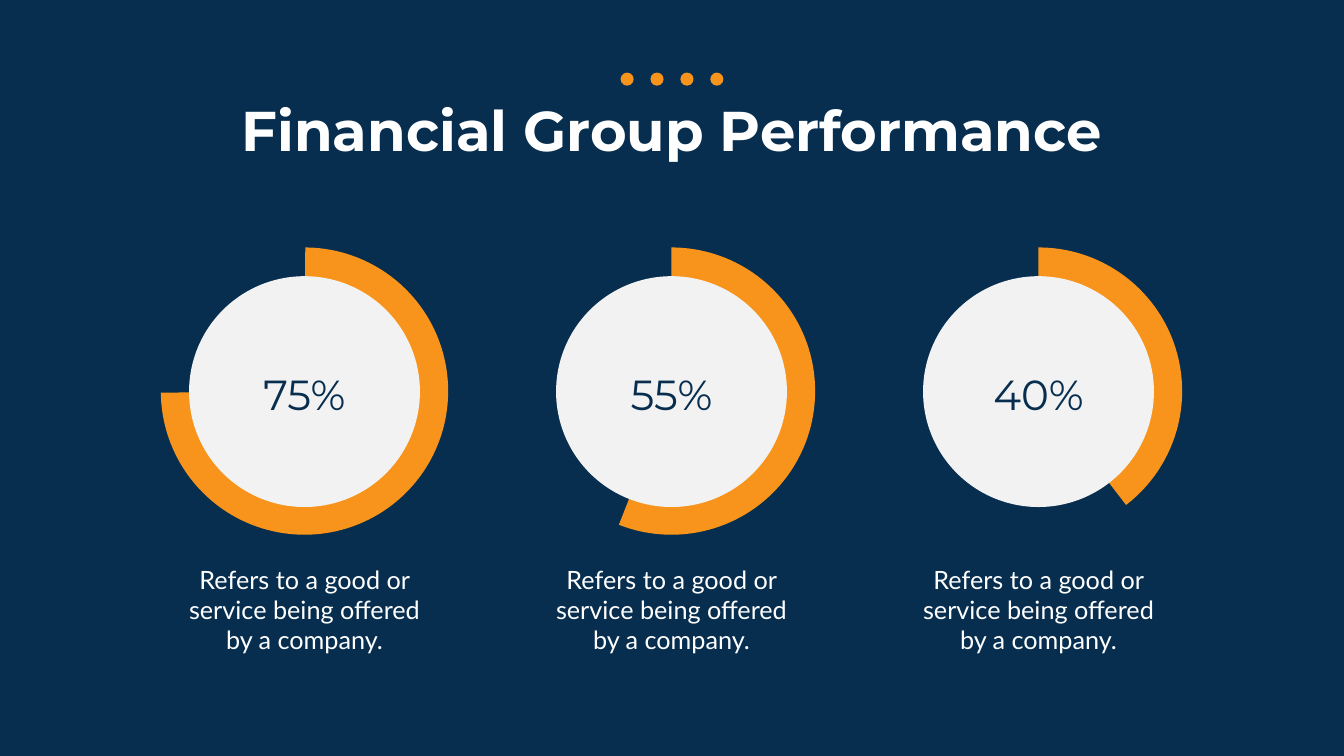
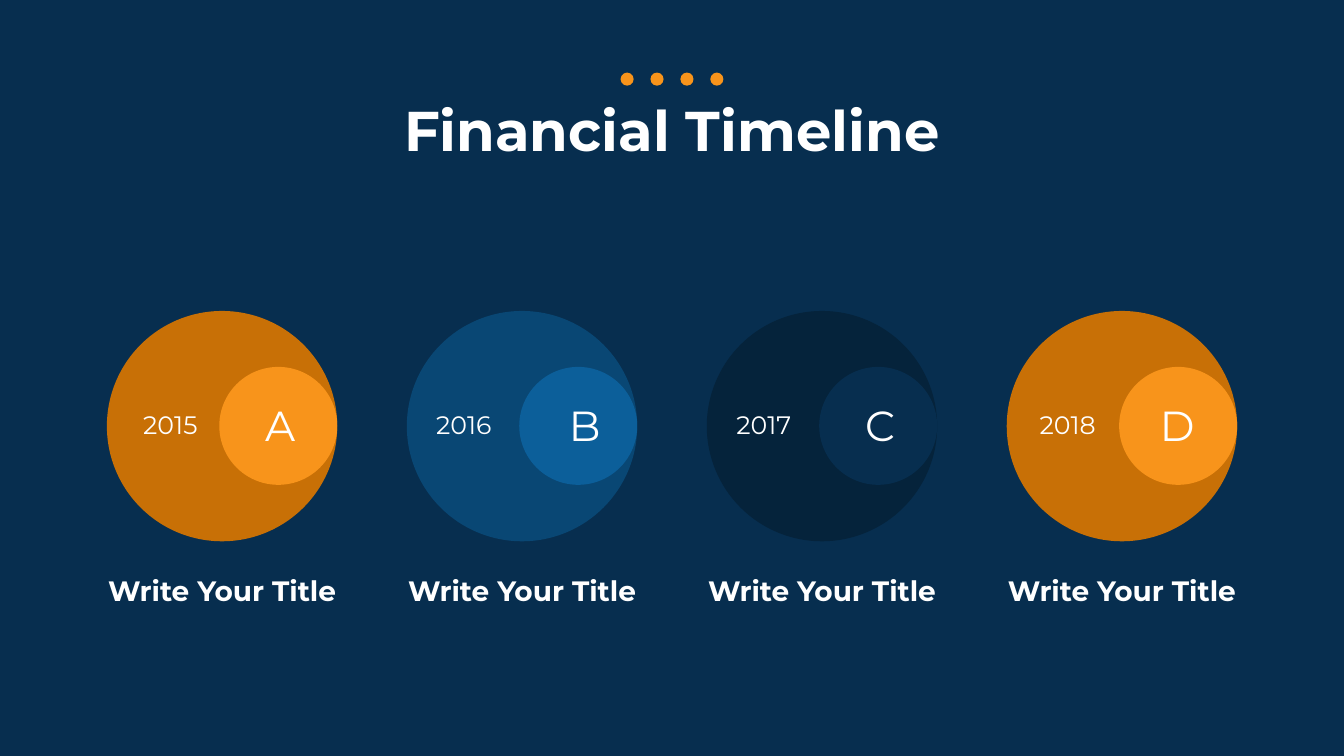
from pptx import Presentation
from pptx.dml.color import RGBColor
from pptx.enum.shapes import MSO_SHAPE
from pptx.enum.text import MSO_ANCHOR, MSO_AUTO_SIZE, PP_ALIGN
from pptx.util import Inches, Pt

OVAL, PIE = MSO_SHAPE.OVAL, MSO_SHAPE.PIE
CENTER, TOP = PP_ALIGN.CENTER, MSO_ANCHOR.TOP
GROW = MSO_AUTO_SIZE.SHAPE_TO_FIT_TEXT

WIDTH, HEIGHT = 26.66, 15
NAVY, WHITE, LIGHT = "072E4F", "FFFFFF", "F2F2F2"
ORANGE, AMBER = "F8941B", "C87006"
BLUE, TEAL, INK = "0C5F9A", "094774", "05233B"
HEAD, BODY = "Montserrat", "Lato"
TITLE_ONLY = 5


def rgb(value):
    return RGBColor.from_string(value)


def write(tf, text, size=36, font=HEAD, color=WHITE, bold=False, wrap=True,
          inset=(0.1, 0.05)):
    tf.word_wrap = wrap
    tf.auto_size = GROW
    tf.vertical_anchor = TOP
    tf.margin_left = tf.margin_right = Inches(inset[0])
    tf.margin_top = tf.margin_bottom = Inches(inset[1])
    p = tf.paragraphs[0]
    p.alignment = CENTER
    r = p.add_run()
    r.text = text
    r.font.name = font
    r.font.size = Pt(size)
    r.font.bold = bold
    r.font.color.rgb = rgb(color)


class Deck:
    def __init__(self):
        self.prs = Presentation()
        self.prs.slide_width = Inches(WIDTH)
        self.prs.slide_height = Inches(HEIGHT)
        self.s = None

    def slide(self, title, title_width):
        self.s = self.prs.slides.add_slide(self.prs.slide_layouts[TITLE_ONLY])
        fill = self.s.background.fill
        fill.solid()
        fill.fore_color.rgb = rgb(NAVY)
        sp = self.s.shapes.title
        sp.left, sp.top = Inches((WIDTH - title_width) / 2), Inches(1.84)
        sp.width, sp.height = Inches(title_width), Inches(1.45)
        write(sp.text_frame, title, size=80, bold=True)
        dots = self.s.shapes.add_group_shape()
        for i in range(4):
            self.shape(12.31 + i * 1.78 / 3, 1.44, 0.26, ORANGE,
                       shapes=dots.shapes)

    def shape(self, x, y, size, color, kind=OVAL, shapes=None):
        shapes = shapes or self.s.shapes
        sp = shapes.add_shape(kind, Inches(x), Inches(y), Inches(size),
                              Inches(size))
        sp.shadow.inherit = False
        sp.fill.solid()
        sp.fill.fore_color.rgb = rgb(color)
        sp.line.fill.background()
        return sp

    def pie(self, x, y, size, color, start, end):
        sp = self.shape(x, y, size, color, kind=PIE)
        sp.adjustments[0], sp.adjustments[1] = start, end

    def text(self, x, y, w, h, text, **style):
        sp = self.s.shapes.add_textbox(Inches(x), Inches(y), Inches(w),
                                       Inches(h))
        write(sp.text_frame, text, **style)


def performance(deck):
    deck.slide("Financial Group Performance", 19.88)
    ring, disc, label, note = 5.7, 4.58, 2.42, 5.31
    gauges = [("75%", 162.19, 107.61), ("55%", 161.96, 66.88),
              ("40%", 161.96, 31.46)]
    for i, (share, start, end) in enumerate(gauges):
        cx = 6.04 + i * 7.28
        deck.pie(cx - ring / 2, 4.91, ring, ORANGE, start, end)
        deck.shape(cx - disc / 2, 5.48, disc, LIGHT)
        deck.text(cx - label / 2, 7.26, label, 1.11, share, size=60,
                  color=NAVY)
        deck.text(cx - note / 2, 11.07, note, 2.06,
                  "Refers to a good or service being offered by a company.",
                  font=BODY, inset=(0.24, 0.12))


def timeline(deck):
    deck.slide("Financial Timeline", 16.73)
    big, small, caption = 4.57, 2.34, 5.67
    steps = [("2015", 2.72, "A", 4.62, AMBER, ORANGE),
             ("2016", 8.54, "B", 10.66, TEAL, BLUE),
             ("2017", 14.49, "C", 16.52, INK, NAVY),
             ("2018", 20.52, "D", 22.41, AMBER, ORANGE)]
    for i, (year, year_x, letter, letter_x, outer, inner) in enumerate(steps):
        x = 2.12 + i * 5.95
        deck.shape(x, 6.17, big, outer)
        deck.shape(x + big - small, 7.28, small, inner)
        deck.text(year_x, 8.08, 1.32, 0.71, year, wrap=False)
        deck.text(letter_x, 7.87, 1.88, 1.11, letter, size=60)
        deck.text(x + (big - caption) / 2, 11.33, caption, 0.77,
                  "Write Your Title", size=40, bold=True)


def main():
    deck = Deck()
    performance(deck)
    timeline(deck)
    deck.prs.save("out.pptx")


if __name__ == "__main__":
    main()
